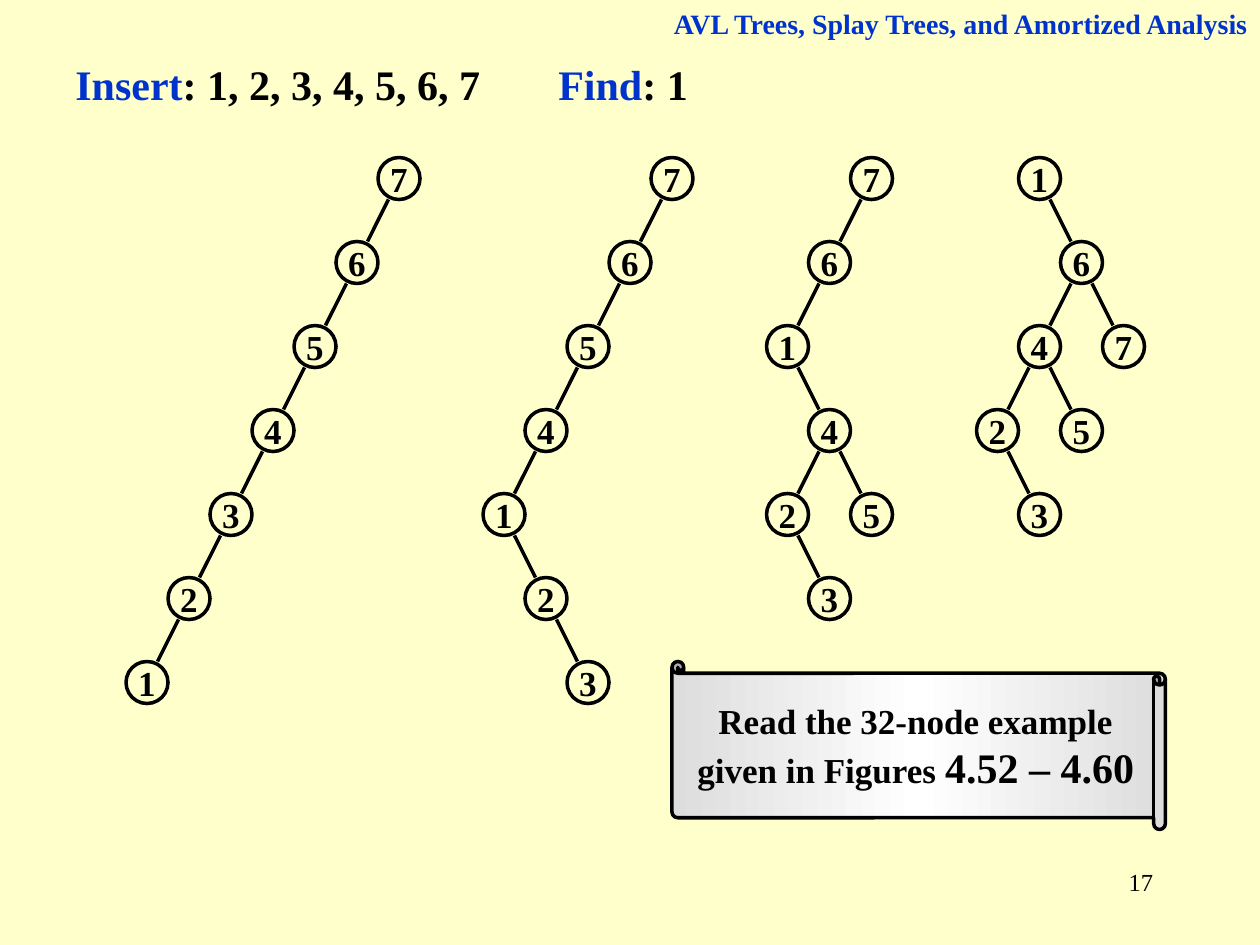
from dataclasses import dataclass
from typing import Optional

from lxml import etree
from pptx import Presentation
from pptx.dml.color import RGBColor
from pptx.enum.shapes import MSO_CONNECTOR, MSO_SHAPE
from pptx.enum.text import MSO_ANCHOR, PP_ALIGN
from pptx.oxml.ns import qn
from pptx.util import Pt

OVAL, SCROLL = MSO_SHAPE.OVAL, MSO_SHAPE.HORIZONTAL_SCROLL
LINE = MSO_CONNECTOR.STRAIGHT
LEFT, MID, RIGHT = PP_ALIGN.LEFT, PP_ALIGN.CENTER, PP_ALIGN.RIGHT
TOP, CENTER = MSO_ANCHOR.TOP, MSO_ANCHOR.MIDDLE

PX = 9525        # EMU in one px, 96 px to the inch
SIZE = 32        # node width and height
STEP = 32        # shift of a child to its side
ROW = 64         # drop from one level to the next
FOOT = 8         # shift of an edge start from the node centre
ROOT_Y = 120


@dataclass(frozen=True)
class Theme:
    font: str = "Times New Roman"
    page: str = "FFFFCC"
    ink: str = "000000"
    blue: str = "0033CC"
    edge: str = "DDDDDD"
    glow: str = "FFFFFF"
    line: int = 2
    small: int = 14
    head: int = 16
    body: int = 20
    large: int = 24


@dataclass(frozen=True)
class Run:
    text: str
    size: int
    color: str
    bold: bool = True


@dataclass(frozen=True)
class Node:
    key: int
    left: Optional["Node"] = None
    right: Optional["Node"] = None


@dataclass(frozen=True)
class Label:
    box: tuple[int, int, int, int]
    runs: list[Run]
    align: PP_ALIGN = LEFT


T = Theme()

LABELS = [
    Label((688, 656, 200, 48), [Run("17", T.small, T.ink, False)], RIGHT),
    Label((48, 40, 392, 48), [Run("Insert", T.large, T.blue),
                              Run(": 1, 2, 3, 4, 5, 6, 7", T.large, T.ink)]),
    Label((416, 40, 136, 48), [Run("Find", T.large, T.blue),
                               Run(": 1", T.large, T.ink)]),
    Label((472, 0, 488, 36),
          [Run("AVL Trees, Splay Trees, and Amortized Analysis", T.head, T.blue)],
          RIGHT),
]


def chain(keys: list[int], tail: Node) -> Node:
    """Hang the keys, top first, as left children above the tail."""
    for key in reversed(keys):
        tail = Node(key, tail)
    return tail


PAIR = Node(2, right=Node(3))
FORK = Node(4, PAIR, Node(5))
TREES = {
    288: chain([7, 6, 5, 4, 3, 2], Node(1)),
    496: chain([7, 6, 5, 4], Node(1, right=PAIR)),
    648: chain([7, 6], Node(1, right=FORK)),
    776: Node(1, right=Node(6, FORK, Node(7))),
}


def emu(*px: int) -> list[int]:
    return [p * PX for p in px]


def rgb(code: str) -> RGBColor:
    return RGBColor.from_string(code)


def write(shape, runs: list[Run], *, align=MID, anchor=CENTER, wrap=True) -> None:
    frame = shape.text_frame
    frame.word_wrap = wrap
    frame.vertical_anchor = anchor
    para = frame.paragraphs[0]
    para.alignment = align
    for item in runs:
        run = para.add_run()
        run.text = item.text
        run.font.name = T.font
        run.font.size = Pt(item.size)
        run.font.bold = item.bold
        run.font.color.rgb = rgb(item.color)


def stroke(shape) -> None:
    shape.line.color.rgb = rgb(T.ink)
    shape.line.width = Pt(T.line)


def draw_edge(slide, x: int, y: int, side: int) -> None:
    """Join the foot of the node at x, y to its child on the given side."""
    start = x + SIZE // 2 + side * FOOT
    line = slide.shapes.add_connector(
        LINE, *emu(start, y + SIZE, start + side * STEP // 2, y + ROW))
    stroke(line)
    etree.SubElement(line.element.spPr, qn("a:effectLst"))


def draw_tree(slide, node: Node, x: int, y: int) -> None:
    ring = slide.shapes.add_shape(OVAL, *emu(x, y, SIZE, SIZE))
    ring.shadow.inherit = False
    ring.fill.background()
    stroke(ring)
    write(ring, [Run(str(node.key), T.body, T.ink)], wrap=False)
    for side, child in ((-1, node.left), (1, node.right)):
        if child:
            draw_edge(slide, x, y, side)
            draw_tree(slide, child, x + side * STEP, y + ROW)


def draw_scroll(slide) -> None:
    note = slide.shapes.add_shape(SCROLL, *emu(512, 504, 376, 128))
    note.adjustments[0] = 0.07
    note.shadow.inherit = False
    props = note.element.spPr
    props.find(qn("a:xfrm")).set("flipH", "1")
    note.fill.gradient()
    note.fill.gradient_angle = 0
    stops = props.find(qn("a:gradFill")).find(qn("a:gsLst"))
    stops.clear()
    for pos, code in ((0, T.edge), (50, T.glow), (100, T.edge)):
        stop = etree.SubElement(stops, qn("a:gs"), pos=str(pos * 1000))
        etree.SubElement(stop, qn("a:srgbClr"), val=code)
    stroke(note)
    write(note, [Run("Read the 32-node example given in Figures ", T.body, T.ink),
                 Run("4.52 – 4.60", T.large, T.ink)])


def main() -> None:
    deck = Presentation()
    deck.slide_width, deck.slide_height = emu(960, 720)
    slide = deck.slides.add_slide(deck.slide_layouts[6])
    slide.background.fill.solid()
    slide.background.fill.fore_color.rgb = rgb(T.page)
    for x, root in TREES.items():
        draw_tree(slide, root, x, ROOT_Y)
    draw_scroll(slide)
    for label in LABELS:
        box = slide.shapes.add_textbox(*emu(*label.box))
        write(box, label.runs, align=label.align, anchor=TOP)
    deck.save("out.pptx")


if __name__ == "__main__":
    main()
